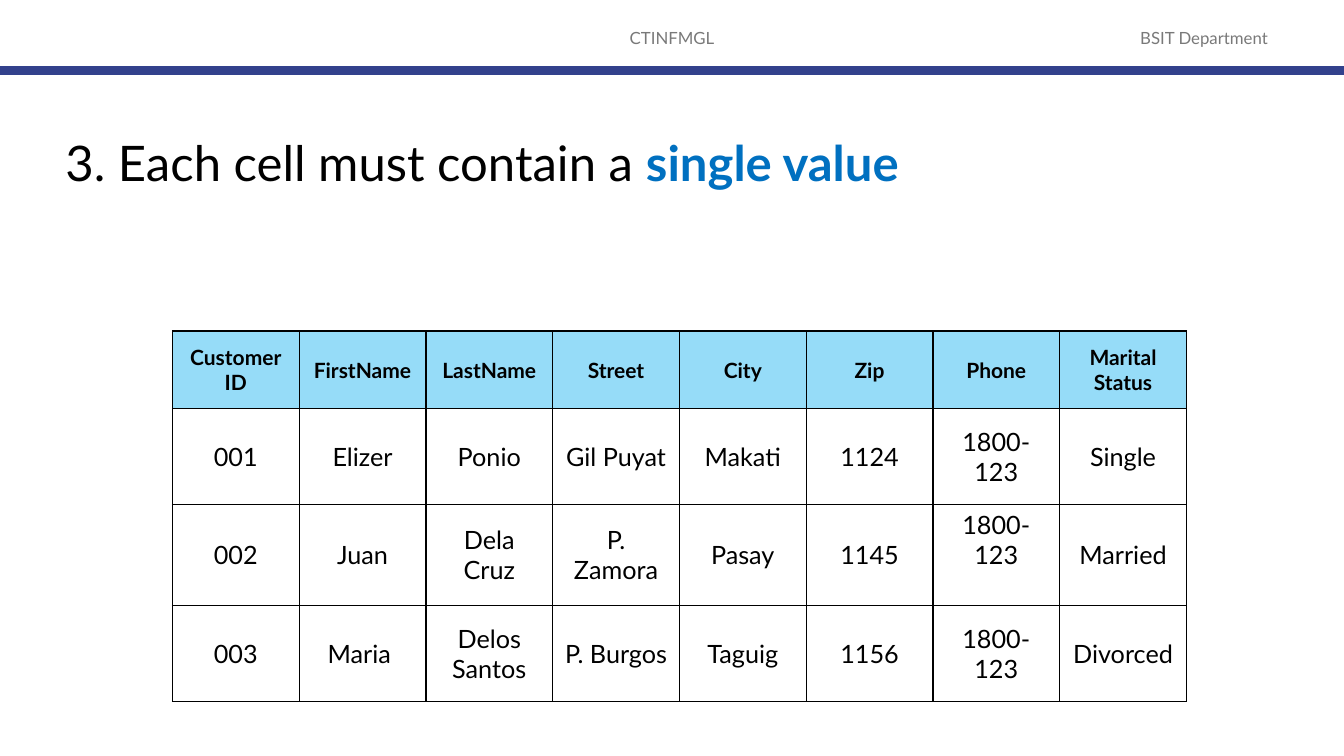
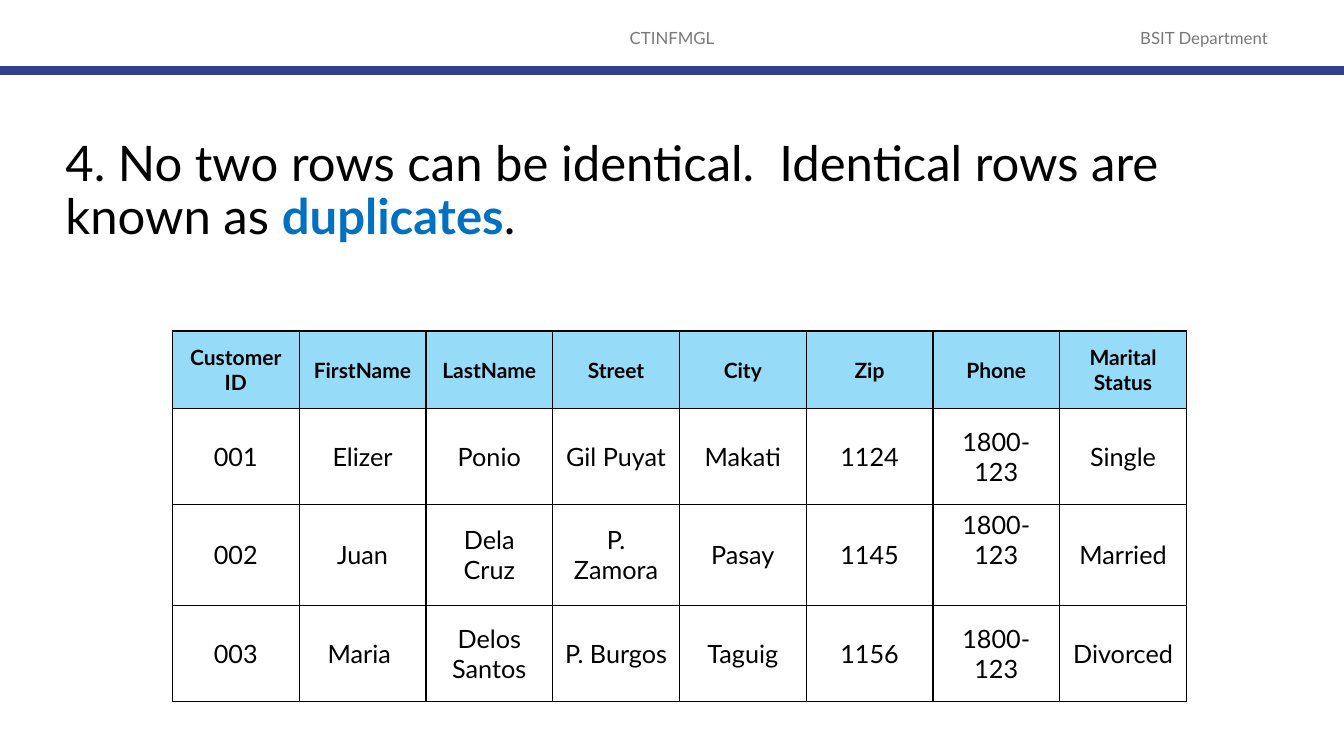
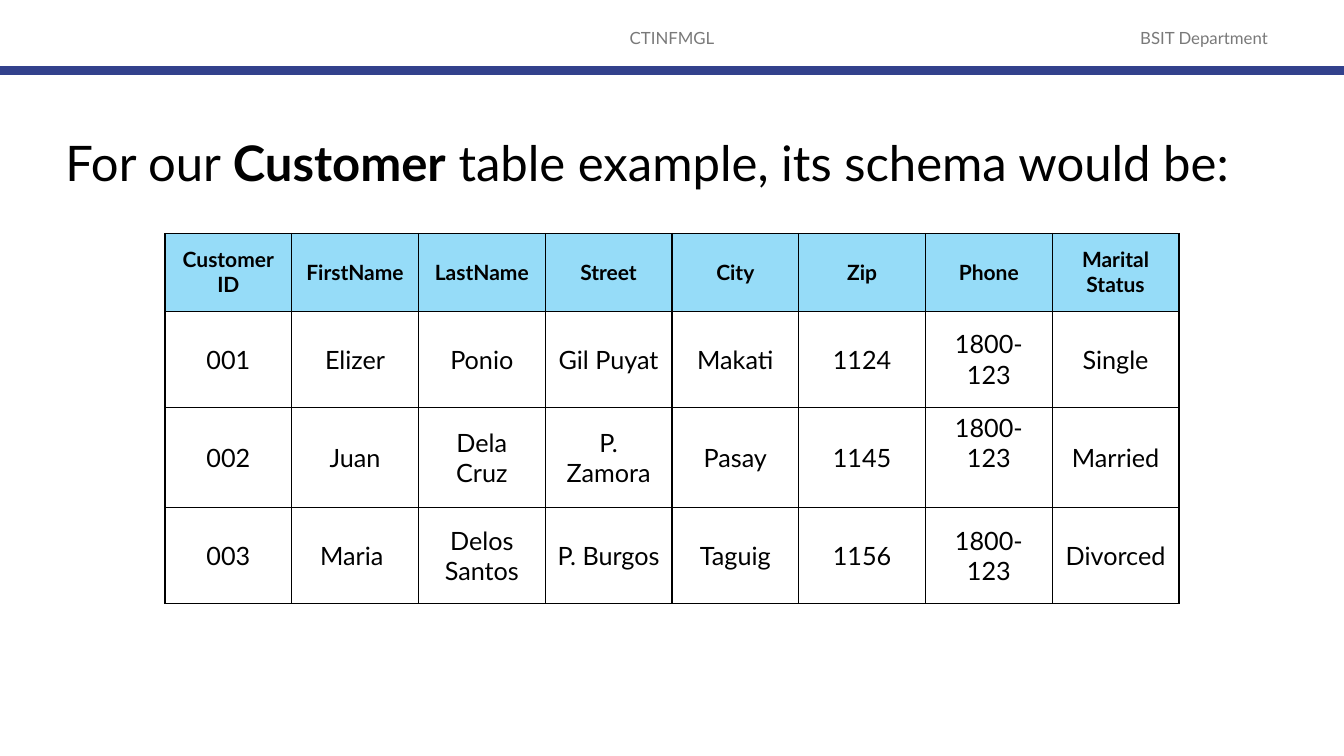
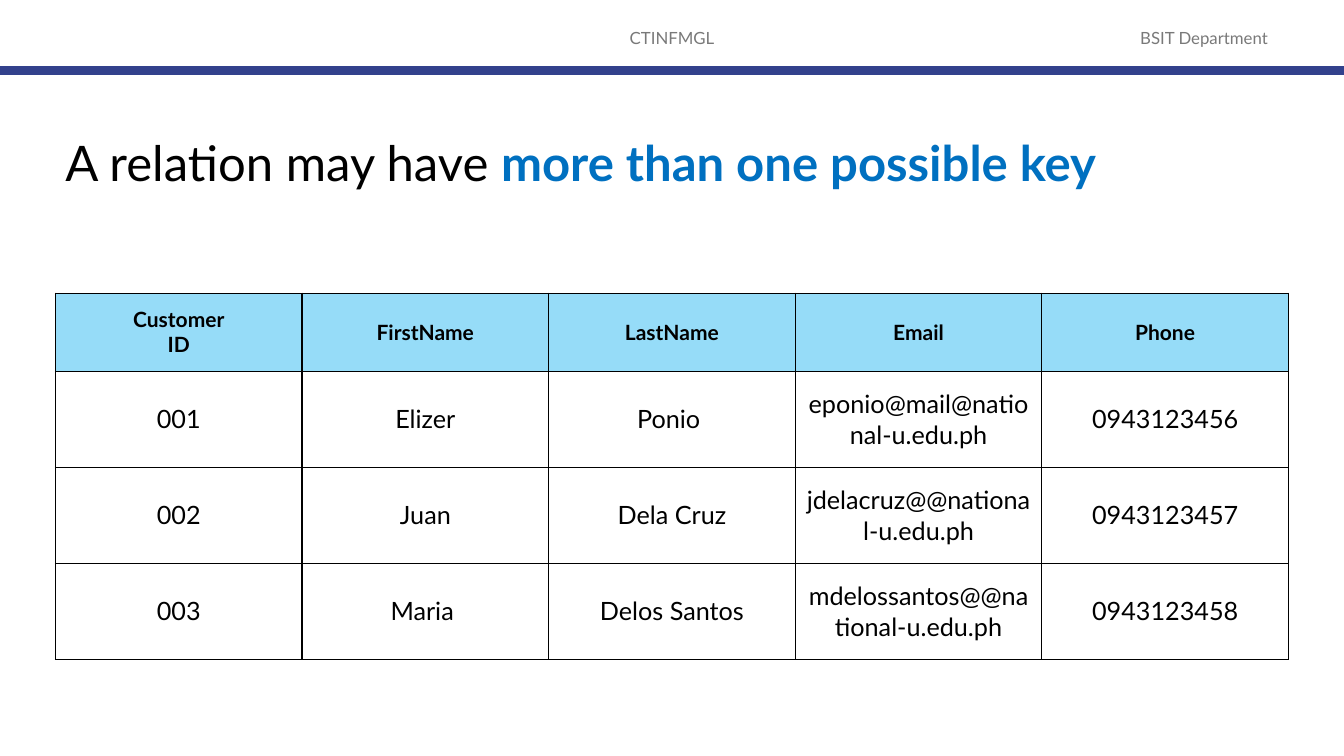
from lxml import etree
from pptx import Presentation
from pptx.dml.color import RGBColor
from pptx.enum.shapes import MSO_CONNECTOR
from pptx.enum.text import MSO_ANCHOR, PP_ALIGN
from pptx.oxml.ns import qn
from pptx.util import Inches, Pt

CENTER, LEFT = PP_ALIGN.CENTER, PP_ALIGN.LEFT
TOP, MIDDLE = MSO_ANCHOR.TOP, MSO_ANCHOR.MIDDLE
STRAIGHT = MSO_CONNECTOR.STRAIGHT

SLIDE_WIDTH, SLIDE_HEIGHT = Inches(13.33), Inches(7.5)
BLANK_LAYOUT = 6
COLORS = {
    "text": "000000",
    "accent": "0070C0",
    "header": "797979",
    "rule": "32418C",
    "heading_fill": "96DCF8",
    "border": "000000",
}
FONTS = {
    "header": {"name": "Lato", "size": Pt(12), "bold": False},
    "title": {"name": "Lato", "size": Pt(35), "bold": False},
    "strong": {"name": "Lato", "size": Pt(35), "bold": True},
    "heading": {"name": "Lato", "size": Pt(15), "bold": True},
    "body": {"name": "Lato", "size": Pt(18), "bold": False},
}

# Positions and sizes are percentages of the slide's width or height.
MARGIN = 4.13
CONTENT_WIDTH = 100 - 2 * MARGIN
TITLE_TOP = 17.73
HEADER_TOP, HEADER_HEIGHT, RULE_TOP = 2.27, 5.33, 9.35
CUSTOMER_WIDTH = 75.45
HEADING_ROW, BODY_ROW, TALL_ROW = 10.3, 12.7, 13.3

CUSTOMERS = [
    ["Customer\nID", "FirstName", "LastName", "Street", "City", "Zip", "Phone",
     "Marital Status"],
    ["001", "Elizer", "Ponio", "Gil Puyat", "Makati", "1124", "1800-123", "Single"],
    ["002", "Juan", "Dela Cruz", "P. Zamora", "Pasay", "1145", "1800-123", "Married"],
    ["003", "Maria ", "Delos Santos", "P. Burgos", "Taguig", "1156", "1800-123",
     "Divorced"],
]
CUSTOMER_ROWS = [HEADING_ROW, BODY_ROW, TALL_ROW, BODY_ROW]
TOP_CELL = (2, 6)

CONTACTS = [
    ["Customer\nID", "FirstName", "LastName", "Email", "Phone"],
    ["001", "Elizer", "Ponio ", "eponio@mail@national-u.edu.ph", "0943123456"],
    ["002", "Juan", "Dela Cruz", "jdelacruz@@national-u.edu.ph", "0943123457"],
    ["003", "Maria ", "Delos Santos", "mdelossantos@@national-u.edu.ph", "0943123458"],
]
CONTACT_ROWS = [HEADING_ROW, BODY_ROW, BODY_ROW, BODY_ROW]


def across(percent):
    return round(SLIDE_WIDTH * percent / 100)


def down(percent):
    return round(SLIDE_HEIGHT * percent / 100)


def color(name):
    return RGBColor.from_string(COLORS[name])


def add_run(paragraph, text, style, color_name):
    run = paragraph.add_run()
    run.text = text
    for attribute, value in FONTS[style].items():
        setattr(run.font, attribute, value)
    run.font.color.rgb = color(color_name)


def add_text(slide, left, top, width, height, runs, align=LEFT, anchor=TOP, spacing=1.0):
    """Add a one-paragraph text box; runs are (text, style, color name)."""
    box = slide.shapes.add_textbox(across(left), down(top), across(width), down(height))
    frame = box.text_frame
    frame.word_wrap = True
    frame.vertical_anchor = anchor
    paragraph = frame.paragraphs[0]
    paragraph.alignment = align
    paragraph.line_spacing = spacing
    for run in runs:
        add_run(paragraph, *run)


def add_header(slide):
    for text, left, width in (("CTINFMGL", 33.13, 33.75), ("BSIT Department", 81.9, 15.38)):
        add_text(slide, left, HEADER_TOP, width, HEADER_HEIGHT,
                 [(text, "header", "header")], CENTER, MIDDLE)
    rule = slide.shapes.add_connector(STRAIGHT, 0, down(RULE_TOP), SLIDE_WIDTH, down(RULE_TOP))
    rule.line.color.rgb = color("rule")
    rule.line.width = Pt(6)
    etree.SubElement(rule._element.spPr, qn("a:effectLst"))


def add_borders(cell):
    properties = cell._tc.get_or_add_tcPr()
    for side in ("L", "R", "T", "B"):
        line = etree.SubElement(properties, qn(f"a:ln{side}"), w=str(Pt(1)))
        fill = etree.SubElement(line, qn("a:solidFill"))
        etree.SubElement(fill, qn("a:srgbClr"), val=COLORS["border"])


def fill_cell(cell, text, is_heading, anchor):
    add_borders(cell)
    cell.vertical_anchor = anchor
    if is_heading:
        cell.fill.solid()
        cell.fill.fore_color.rgb = color("heading_fill")
    else:
        cell.fill.background()
    frame = cell.text_frame
    for index, line in enumerate(text.split("\n")):
        paragraph = frame.add_paragraph() if index else frame.paragraphs[0]
        paragraph.alignment = CENTER
        add_run(paragraph, line, "heading" if is_heading else "body", "text")


def add_data_table(slide, left, top, width, records, row_heights, top_cell=None):
    """Add a table with equal columns; top_cell is the one cell anchored at its top."""
    column_count = len(records[0])
    table = slide.shapes.add_table(len(records), column_count, across(left), down(top),
                                   across(width), down(sum(row_heights))).table
    table.first_row = table.horz_banding = False
    for column in table.columns:
        column.width = across(width / column_count)
    for row_index, (record, height) in enumerate(zip(records, row_heights)):
        table.rows[row_index].height = down(height)
        for column_index, text in enumerate(record):
            anchor = TOP if (row_index, column_index) == top_cell else MIDDLE
            fill_cell(table.cell(row_index, column_index), text, row_index == 0, anchor)


def add_slide(presentation, title_height, title_runs):
    """Add a slide with the shared header and a title."""
    slide = presentation.slides.add_slide(presentation.slide_layouts[BLANK_LAYOUT])
    add_header(slide)
    add_text(slide, MARGIN, TITLE_TOP, CONTENT_WIDTH, title_height, title_runs, spacing=0.9)
    return slide


def add_customer_table(slide, left, top):
    add_data_table(slide, left, top, CUSTOMER_WIDTH, CUSTOMERS, CUSTOMER_ROWS, TOP_CELL)


def main():
    presentation = Presentation()
    presentation.slide_width, presentation.slide_height = SLIDE_WIDTH, SLIDE_HEIGHT

    slide = add_slide(presentation, 79.2, [
        ("3. Each cell must contain a ", "title", "text"),
        ("single value", "strong", "accent")])
    add_customer_table(slide, 12.83, 43.78)

    slide = add_slide(presentation, 79.2, [
        ("4. No two rows can be identical.  Identical rows are known as ", "title", "text"),
        ("duplicates", "strong", "accent"),
        (".", "title", "text")])
    add_customer_table(slide, 12.83, 43.78)

    slide = add_slide(presentation, 8.93, [
        ("For our ", "title", "text"),
        ("Customer", "strong", "text"),
        (" table example, its schema would be:", "title", "text")])
    add_customer_table(slide, (100 - CUSTOMER_WIDTH) / 2, 30.87)

    slide = add_slide(presentation, 13.73, [
        ("A relation may have ", "title", "text"),
        ("more than one possible key", "strong", "accent")])
    add_data_table(slide, MARGIN, 38.8, CONTENT_WIDTH, CONTACTS, CONTACT_ROWS)

    presentation.save("out.pptx")


if __name__ == "__main__":
    main()
